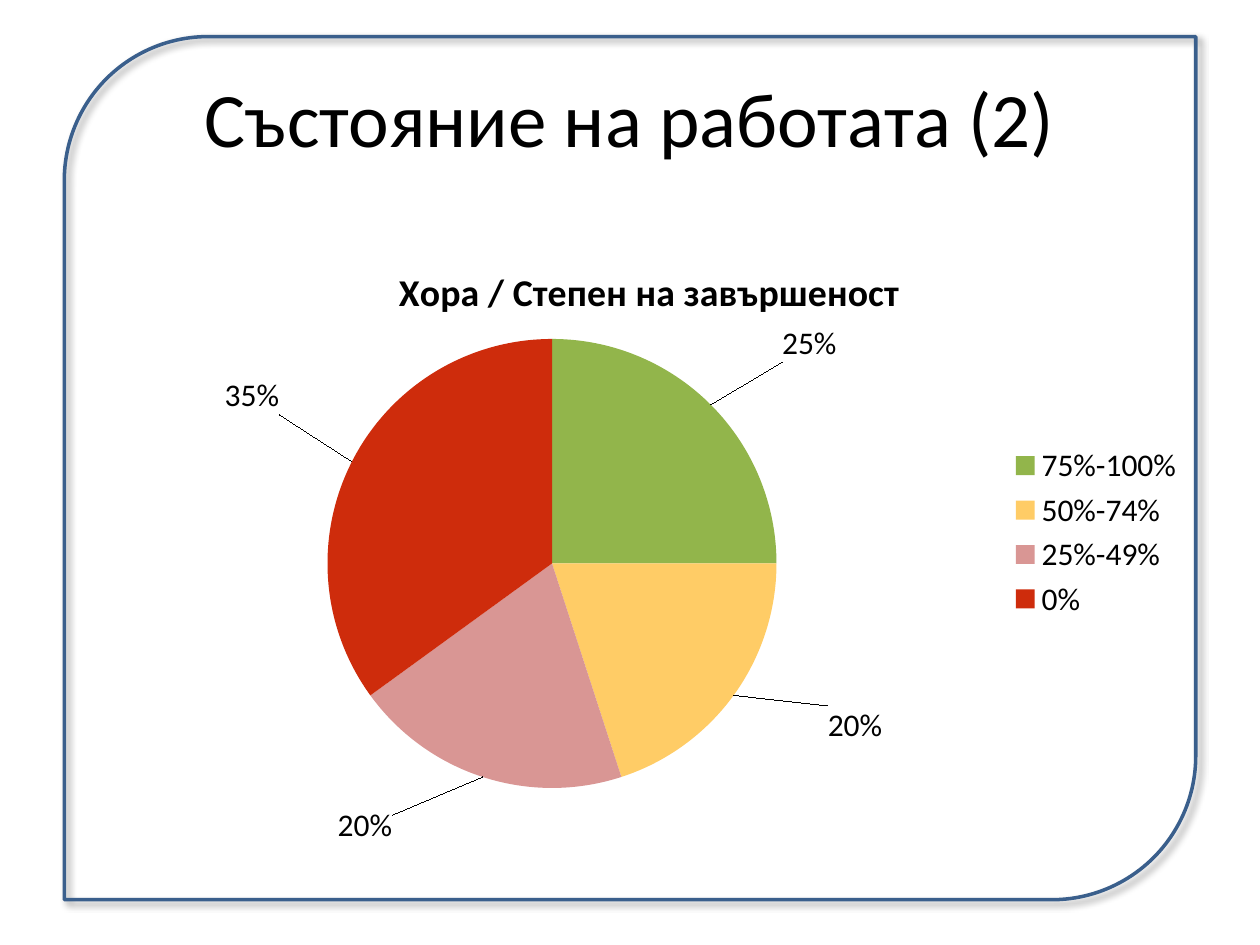
import pptx
import pptx.chart.data
import pptx.dml.color
import pptx.enum.chart
import pptx.enum.shapes
import pptx.enum.text
import pptx.oxml
import pptx.oxml.ns
import pptx.util

WIDTH, HEIGHT = 10, 7.5
FONT = "Calibri"
HEADING = "Хора / Степен на завършеност"
SHARES = [
    ("75%-100%", 25, "92B54B", (0.06, -0.06)),
    ("50%-74%", 20, "FFCC66", (0.08, 0.01)),
    ("25%-49%", 20, "D99694", (-0.08, 0.05)),
    ("0%", 35, "CE2C0C", (-0.06, -0.07)),
]


def color(hex_string):
    """Return the colour for a hex string."""
    return pptx.dml.color.RGBColor.from_string(hex_string)


def place(box):
    """Turn shares of the slide into left, top, width and height."""
    sides = (WIDTH, HEIGHT, WIDTH, HEIGHT)
    return [pptx.util.Inches(share * side) for share, side in zip(box, sides)]


def style(font, size=18, bold=False, fill="000000"):
    """Format a font."""
    font.name, font.size, font.bold = FONT, pptx.util.Pt(size), bold
    font.color.rgb = color(fill)


def write(frame, words, align=pptx.enum.text.PP_ALIGN.CENTER, **format_options):
    """Write one formatted paragraph into a text frame."""
    frame.text = words
    frame.paragraphs[0].alignment = align
    style(frame.paragraphs[0].runs[0].font, **format_options)


def chart_xml(tag, content):
    """Parse a chart element with the given content."""
    return pptx.oxml.parse_xml(
        f'<c:{tag} {pptx.oxml.ns.nsdecls("c")}>{content}</c:{tag}>')


def manual_layout(modes=(), **positions):
    """Return a manual chart layout in shares of the chart."""
    entries = [(mode, "edge" if mode != "layoutTarget" else "inner") for mode in modes]
    content = "".join(f'<c:{tag} val="{value}"/>'
                      for tag, value in entries + list(positions.items()))
    return chart_xml("layout", f"<c:manualLayout>{content}</c:manualLayout>")


def set_layout(element, layout, index):
    """Replace the layout of a chart element."""
    for old in element.findall(pptx.oxml.ns.qn("c:layout")):
        element.remove(old)
    element.insert(index, layout)


def add_title(slide, box):
    """Place and fill the slide title."""
    title = slide.shapes.title
    title.left, title.top, title.width, title.height = place(box)
    title.text_frame.vertical_anchor = pptx.enum.text.MSO_ANCHOR.MIDDLE
    write(title.text_frame, "Състояние на работата (2)", size=44)


def add_labels(series):
    """Show percentages outside the pie, each moved by its own offset."""
    labels = series.data_labels
    labels.show_percentage, labels.show_value = True, False
    labels.number_format, labels.number_format_is_linked = "0%", False
    labels.position = pptx.enum.chart.XL_LABEL_POSITION.OUTSIDE_END
    style(labels.font)
    flags = "".join(
        f'<c:show{name} val="{int(name == "Percent")}"/>'
        for name in ("LegendKey", "Val", "CatName", "SerName", "Percent", "BubbleSize"))
    all_labels = series._element.find(pptx.oxml.ns.qn("c:dLbls"))
    for index, (_, _, _, (x, y)) in enumerate(SHARES):
        label = chart_xml("dLbl", f'<c:idx val="{index}"/><c:dLblPos val="outEnd"/>{flags}')
        label.insert(1, manual_layout(x=x, y=y))
        all_labels.insert(index, label)


def add_pie(slide, box):
    """Add the pie chart of people by degree of completion."""
    data = pptx.chart.data.CategoryChartData()
    data.categories = [share[0] for share in SHARES]
    data.add_series(HEADING, [share[1] for share in SHARES])
    chart = slide.shapes.add_chart(
        pptx.enum.chart.XL_CHART_TYPE.PIE, *place(box), data).chart
    style(chart.font)
    chart.has_title = True
    write(chart.chart_title.text_frame, HEADING, size=21.6, bold=True)
    set_layout(chart.chart_title._element,
               manual_layout(("xMode", "yMode"), x=0.27, y=0.06), 1)
    chart.has_legend = True
    chart.legend.position = pptx.enum.chart.XL_LEGEND_POSITION.RIGHT
    chart.legend.include_in_layout = False
    style(chart.legend.font)
    pie = chart.plots[0]
    pie.vary_by_categories = True
    series = pie.series[0]
    for index, share in enumerate(SHARES):
        fill = series.points[index].format.fill
        fill.solid()
        fill.fore_color.rgb = color(share[2])
    add_labels(series)
    plot_area = pie._element.getparent()
    set_layout(plot_area, manual_layout(("layoutTarget", "xMode", "yMode"),
                                        x=0.21, y=0.19, w=0.41, h=0.72), 0)


def add_frame(slide, box):
    """Add the outlined frame with two rounded corners and a soft shadow."""
    frame = slide.shapes.add_shape(
        pptx.enum.shapes.MSO_SHAPE.ROUND_2_DIAG_RECTANGLE, *place(box))
    frame.rotation = 180
    frame.fill.background()
    frame.line.color.rgb = color("3A5F8C")
    frame.line.width = pptx.util.Pt(2)
    frame.shadow.inherit = False
    effects = frame._element.spPr.find(pptx.oxml.ns.qn("a:effectLst"))
    effects.append(pptx.oxml.parse_xml(
        f'<a:outerShdw {pptx.oxml.ns.nsdecls("a")} blurRad="{pptx.util.Pt(4)}" '
        f'dist="{pptx.util.Pt(3)}" dir="{45 * 60000}" algn="tl" rotWithShape="0">'
        '<a:srgbClr val="000000"><a:alpha val="40000"/></a:srgbClr></a:outerShdw>'))


def main():
    """Build and save the slide."""
    deck = pptx.Presentation()
    deck.slide_width = pptx.util.Inches(WIDTH)
    deck.slide_height = pptx.util.Inches(HEIGHT)
    slide = deck.slides.add_slide(deck.slide_layouts[5])
    add_title(slide, (0.05, 0.04, 0.9, 1 / 6))
    add_pie(slide, (0.075, 1.75 / HEIGHT, 0.875, 0.66))
    add_frame(slide, (0.051, 0.29 / HEIGHT, 0.898, 6.85 / HEIGHT))
    deck.save("out.pptx")


if __name__ == "__main__":
    main()
